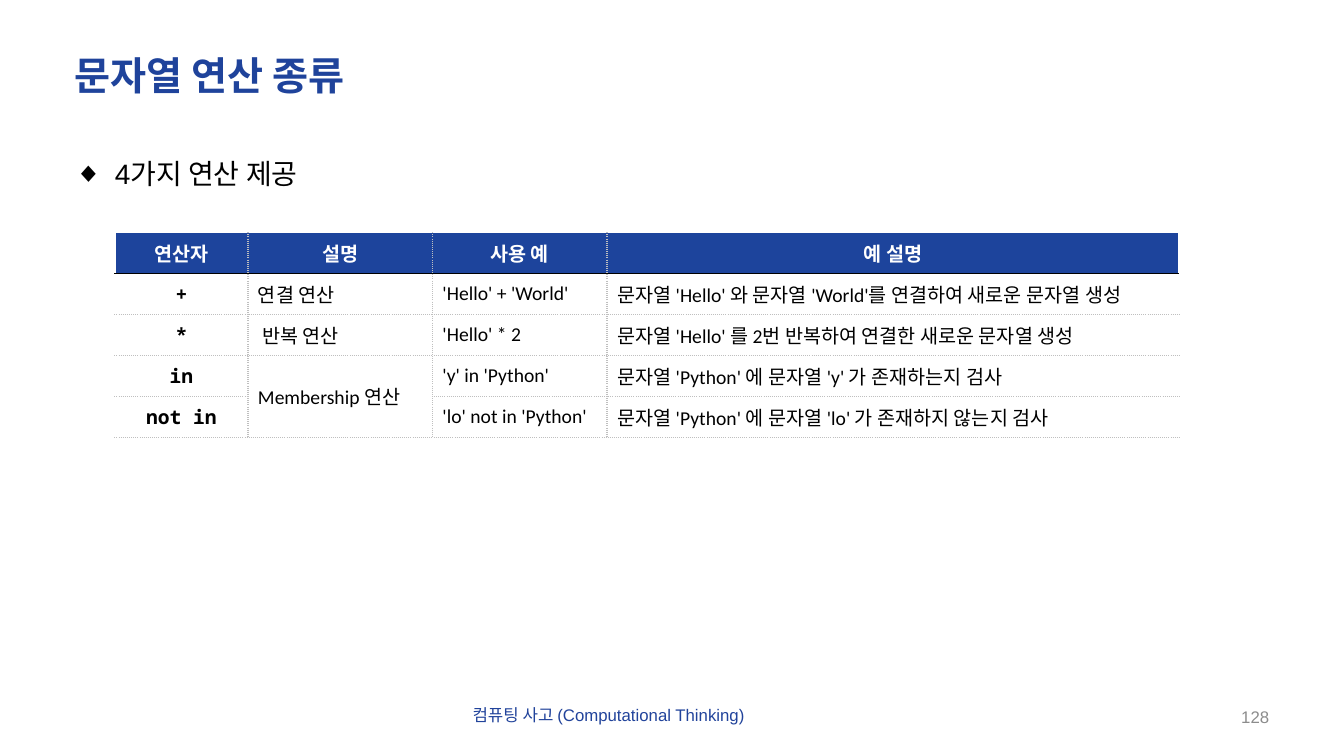
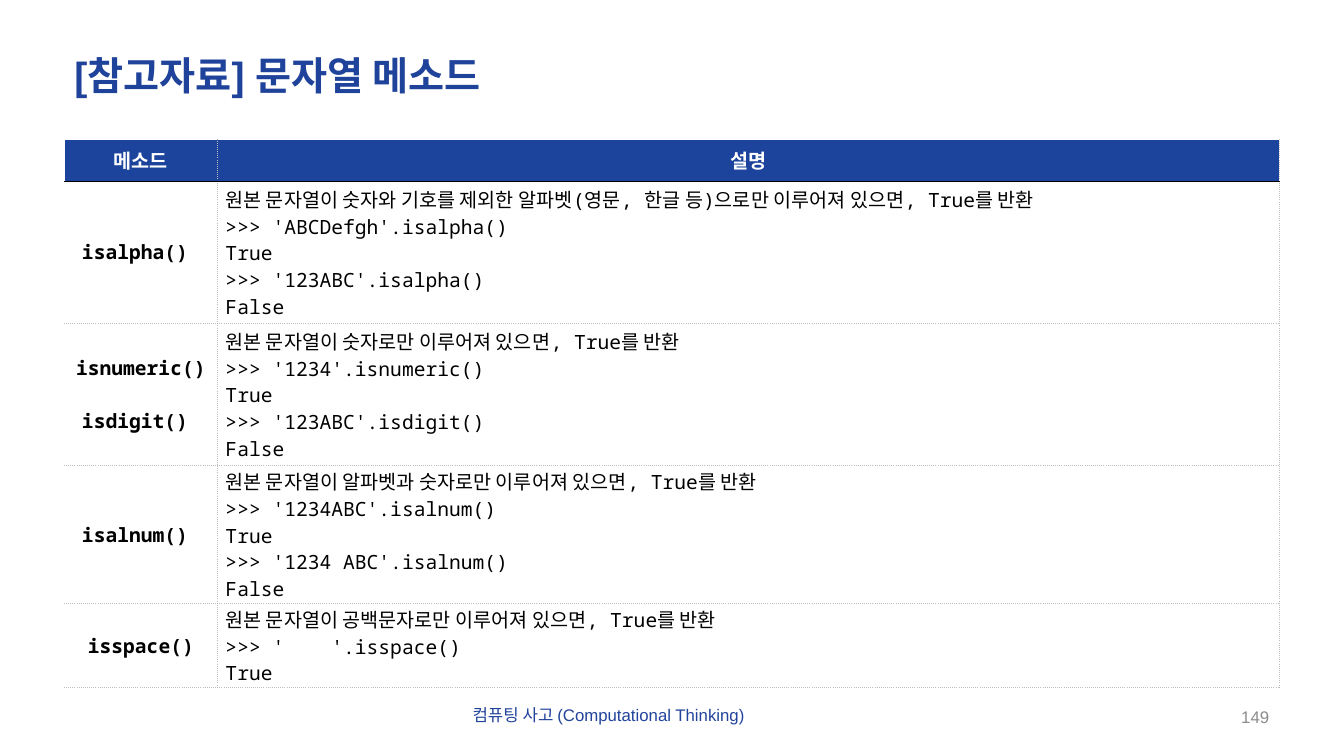
from dataclasses import dataclass
from lxml.etree import SubElement
from pptx import Presentation
from pptx.dml.color import RGBColor
from pptx.enum.text import MSO_ANCHOR as Anchor, PP_ALIGN as Align
from pptx.oxml.ns import qn
from pptx.util import Pt

NAVY, BAND, FOOT = "1F439B", "1D449C", "21439B"
WHITE, BLACK, GREY, DOT = "FFFFFF", "000000", "8C8C8C", "BFBFBF"
SANS, BODY, MONO = "Arial", "Calibri", "Noto Sans Mono"
LEFT, WIDTH = 46.1, 867.6


@dataclass
class Column:
    head: str
    width: float
    font: str = BODY
    bold: bool = False
    align: Align = Align.LEFT
    gap: float = 0


@dataclass
class Grid:
    left: float
    top: float
    cols: list[Column]
    highs: list[float]
    rows: list[list[str]]
    edge: str = DOT
    tight: bool = False
    merge: tuple = ()


def paint(code: str) -> RGBColor:
    return RGBColor.from_string(code)


def write(frame, text: str, font=SANS, size=14, color=BLACK, bold=False,
          align=Align.LEFT, space=None, gap=0, mark=""):
    for i, line in enumerate(text.split("\n")):
        para = frame.paragraphs[0] if i == 0 else frame.add_paragraph()
        para.alignment = align
        if space:
            para.line_spacing = space
        if i and gap:
            para.space_before = Pt(gap)
        if mark:
            prop = para._p.get_or_add_pPr()
            prop.set("marL", str(Pt(28.8)))
            prop.set("indent", str(-Pt(28.8)))
            SubElement(prop, qn("a:buFont"), typeface=SANS)
            SubElement(prop, qn("a:buChar"), char=mark)
        run = para.add_run()
        run.text = line
        run.font.name, run.font.size, run.font.bold = font, Pt(size), bold
        run.font.color.rgb = paint(color)


def label(slide, area: tuple, text: str, anchor=Anchor.TOP, **style):
    box = slide.shapes.add_textbox(*(Pt(v) for v in area))
    frame = box.text_frame
    frame.word_wrap = True
    frame.vertical_anchor = anchor
    write(frame, text, **style)


def border(cell, side: str, color: str):
    prop = cell._tc.get_or_add_tcPr()
    line = SubElement(prop, qn("a:ln" + side), w=str(Pt(1)))
    fill = SubElement(line, qn("a:solidFill"))
    SubElement(fill, qn("a:srgbClr"), val=color)
    SubElement(line, qn("a:prstDash"), val="sysDot" if color == DOT else "solid")


def draw(slide, grid: Grid):
    wide = sum(c.width for c in grid.cols)
    count, last = len(grid.highs), len(grid.cols) - 1
    table = slide.shapes.add_table(
        count, last + 1, Pt(grid.left), Pt(grid.top), Pt(wide), Pt(sum(grid.highs))).table
    table.first_row = table.horz_banding = False
    for c, col in enumerate(grid.cols):
        table.columns[c].width = Pt(col.width)
    for r, (high, row) in enumerate(zip(grid.highs, [[c.head for c in grid.cols]] + grid.rows)):
        table.rows[r].height = Pt(high)
        for c, (col, text) in enumerate(zip(grid.cols, row)):
            cell = table.cell(r, c)
            border(cell, "L", DOT if c else WHITE)
            border(cell, "R", grid.edge if c == last and (r or grid.edge == WHITE) else DOT)
            border(cell, "T", (WHITE, BLACK)[r] if r < 2 else DOT)
            border(cell, "B", DOT if r else BLACK)
            cell.fill.solid()
            cell.fill.fore_color.rgb = paint(WHITE if r else BAND)
            cell.vertical_anchor = Anchor.MIDDLE
            if r and grid.tight:
                cell.margin_left = cell.margin_right = Pt(5.8)
                cell.margin_top = cell.margin_bottom = Pt(0)
            if r == 0:
                write(cell.text_frame, text, font=BODY, color=WHITE, bold=True, align=Align.CENTER)
            elif text:
                write(cell.text_frame, text, font=col.font, bold=col.bold,
                      align=col.align, gap=col.gap)
    if grid.merge:
        start, end = grid.merge
        table.cell(*start).merge(table.cell(*end))


def page(deck, title: str, number: str):
    slide = deck.slides.add_slide(deck.slide_layouts[6])
    label(slide, (697.7, 502.6, 216, 18.7), number, Anchor.MIDDLE,
          size=12, color=GREY, align=Align.RIGHT)
    label(slide, (330.5, 499.7, 235.4, 21.6), "컴퓨팅 사고 (Computational Thinking)",
          size=12, color=FOOT)
    label(slide, (LEFT, 36.7, WIDTH, 38.2), title, Anchor.MIDDLE,
          size=28, color=NAVY, bold=True, space=0.9)
    return slide


OPS = Grid(
    82.1, 166.3,
    [Column("연산자", 95, MONO, True, Align.CENTER), Column("설명", 131.8),
     Column("사용 예", 124.7), Column("예 설명", 408.5)],
    [29.2] * 5,
    [["+", "연결 연산", "'Hello' + 'World'",
      "문자열 'Hello' 와 문자열 'World'를 연결하여 새로운 문자열 생성"],
     ["*", " 반복 연산", "'Hello' * 2",
      "문자열 'Hello' 를 2번 반복하여 연결한 새로운 문자열 생성"],
     ["in", "Membership 연산", "'y' in 'Python'",
      "문자열 'Python' 에 문자열 'y' 가 존재하는지 검사"],
     ["not in", "", "'lo' not in 'Python'",
      "문자열 'Python' 에 문자열 'lo' 가 존재하지 않는지 검사"]],
    edge=WHITE, merge=((3, 1), (4, 1)))

CALLS = Grid(
    LEFT, 99.4,
    [Column("메소드", 109.2, MONO, True, Align.CENTER, 19),
     Column("설명", 758.4, MONO, align=Align.JUSTIFY)],
    [30, 101.5, 101.5, 98.9, 59.8],
    [["isalpha() ",
      "원본 문자열이 숫자와 기호를 제외한 알파벳(영문, 한글 등)으로만 이루어져 있으면, True를 반환\n"
      ">>> 'ABCDefgh'.isalpha()\nTrue\n>>> '123ABC'.isalpha()\nFalse"],
     ["isnumeric()\nisdigit() ",
      "원본 문자열이 숫자로만 이루어져 있으면, True를 반환\n"
      ">>> '1234'.isnumeric()\nTrue\n>>> '123ABC'.isdigit()\nFalse"],
     ["isalnum() ",
      "원본 문자열이 알파벳과 숫자로만 이루어져 있으면, True를 반환\n"
      ">>> '1234ABC'.isalnum()\nTrue\n>>> '1234 ABC'.isalnum()\nFalse"],
     ["isspace()",
      "원본 문자열이 공백문자로만 이루어져 있으면, True를 반환\n"
      ">>> '    '.isspace()\nTrue"]],
    tight=True)


def main():
    deck = Presentation()
    deck.slide_width, deck.slide_height = Pt(960), Pt(540)
    slide = page(deck, "문자열 연산 종류", "128")
    label(slide, (LEFT, 96.5, WIDTH, 391.7), "4가지 연산 제공", size=20, space=1.5, mark="◆")
    draw(slide, OPS)
    draw(page(deck, "[참고자료] 문자열 메소드", "149"), CALLS)
    deck.save("out.pptx")


if __name__ == "__main__":
    main()
